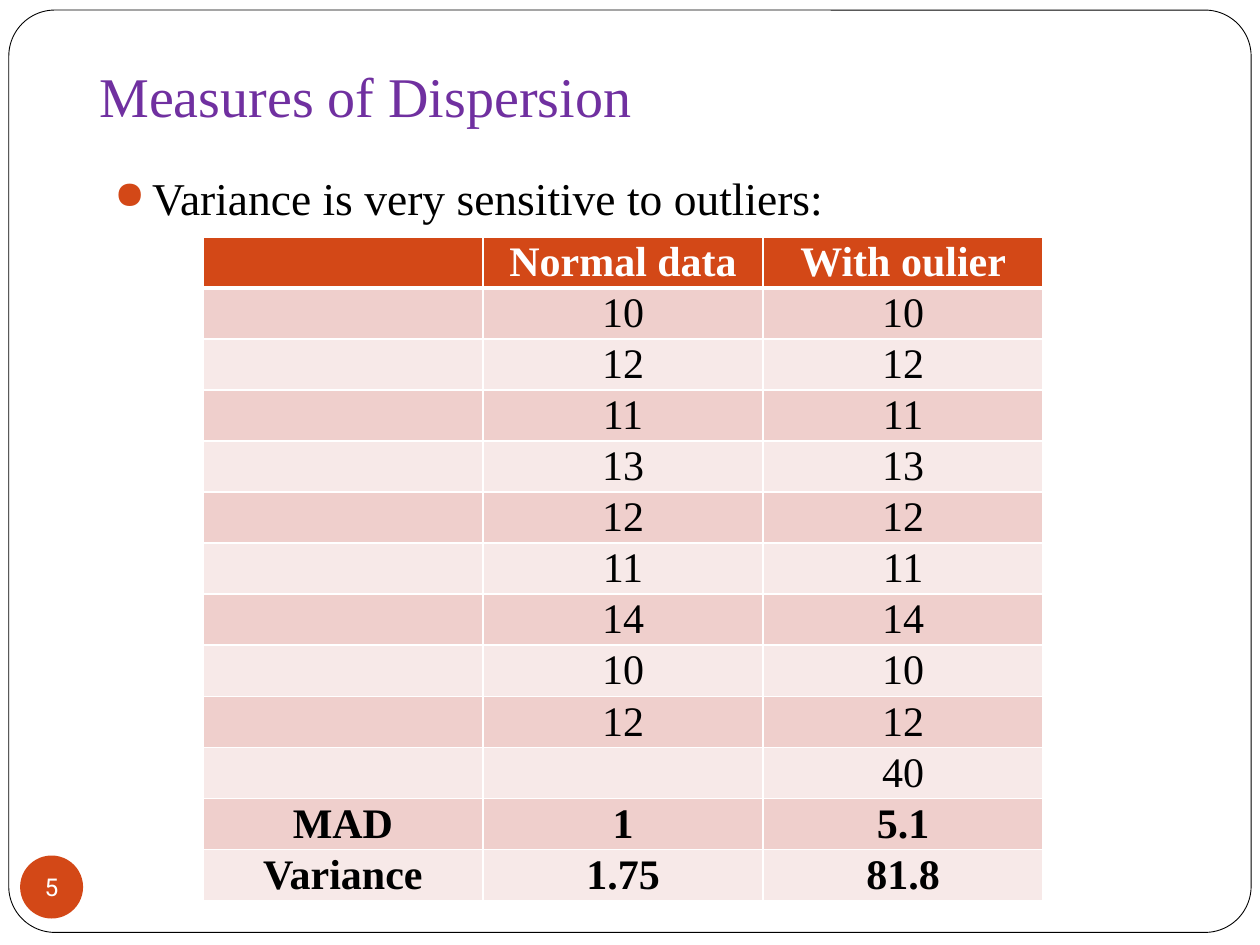
from lxml.etree import SubElement
from pptx import Presentation
from pptx.dml.color import RGBColor
from pptx.enum.shapes import MSO_SHAPE
from pptx.enum.text import MSO_ANCHOR, PP_ALIGN
from pptx.oxml.ns import qn
from pptx.util import Inches, Pt

COLORS = {
    "white": "FFFFFF",
    "black": "000000",
    "title": "7030A0",
    "accent": "D34817",
    "band_dark": "EFCFCC",
    "band_light": "F7E9E8",
}
SERIF = "Times New Roman"
HEADER = ("", "Normal data", "With oulier")
NORMAL_DATA = (10, 12, 11, 13, 12, 11, 14, 10, 12)
OUTLIER = 40
SUMMARY = (("MAD", "1", "5.1"), ("Variance", "1.75", "81.8"))


def rgb(name):
    return RGBColor.from_string(COLORS[name])


def style(p, size, color, font=SERIF, bold=False):
    p.font.size = Pt(size)
    p.font.name = font
    p.font.bold = bold
    p.font.color.rgb = rgb(color)


def set_margins(tf, left, top, right, bottom):
    tf.margin_left, tf.margin_top = Inches(left), Inches(top)
    tf.margin_right, tf.margin_bottom = Inches(right), Inches(bottom)


def add_shape(s, kind, left, top, width, height, fill):
    sp = s.shapes.add_shape(kind, Inches(left), Inches(top), Inches(width), Inches(height))
    sp.shadow.inherit = False
    sp.fill.solid()
    sp.fill.fore_color.rgb = rgb(fill)
    sp.line.fill.background()
    return sp


def add_frame(s):
    sp = add_shape(s, MSO_SHAPE.ROUNDED_RECTANGLE, 0.07, 0.08, 9.86, 7.32, "white")
    sp.adjustments[0] = 0.05
    sp.line.color.rgb = rgb("black")
    sp.line.width = Pt(0.5)


def add_text(s, text, left, top, width, height, size, color, anchor):
    sp = s.shapes.add_textbox(Inches(left), Inches(top), Inches(width), Inches(height))
    tf = sp.text_frame
    tf.word_wrap = True
    tf.vertical_anchor = anchor
    set_margins(tf, 0.1, 0.05, 0.1, 0.1)
    p = tf.paragraphs[0]
    p.text = text
    style(p, size, color)
    return p


def add_bullet(p):
    pPr = p._p.get_or_add_pPr()
    pPr.set("marL", str(Inches(0.3)))
    pPr.set("indent", str(-Inches(0.3)))
    color = pPr.makeelement(qn("a:buClr"))
    SubElement(color, qn("a:srgbClr"), val=COLORS["accent"])
    size = pPr.makeelement(qn("a:buSzPct"), val="85000")
    char = pPr.makeelement(qn("a:buChar"), char="●")
    for i, element in enumerate((color, size, char)):
        pPr.insert(i, element)


def add_slide_number(s, number):
    sp = add_shape(s, MSO_SHAPE.OVAL, 0.16, 6.79, 0.5, 0.5, "accent")
    tf = sp.text_frame
    tf.word_wrap = False
    tf.vertical_anchor = MSO_ANCHOR.MIDDLE
    set_margins(tf, 0, 0, 0, 0)
    p = tf.paragraphs[0]
    p.text = number
    p.alignment = PP_ALIGN.CENTER
    style(p, 14, "white", "Roboto")


def add_border(cell, side, width):
    ln = SubElement(cell._tc.get_or_add_tcPr(), qn(f"a:{side}"), w=str(Pt(width)))
    fill = SubElement(ln, qn("a:solidFill"))
    SubElement(fill, qn("a:srgbClr"), val=COLORS["white"])


def fill_cell(cell, text, fill, color, bold, top, bottom):
    for side, width in (("lnL", 1), ("lnR", 1), ("lnT", top), ("lnB", bottom)):
        add_border(cell, side, width)
    cell.fill.solid()
    cell.fill.fore_color.rgb = rgb(fill)
    cell.vertical_anchor = MSO_ANCHOR.MIDDLE
    set_margins(cell, 0, 0, 0, 0)
    p = cell.text_frame.paragraphs[0]
    p.text = text
    p.alignment = PP_ALIGN.CENTER
    style(p, 24, color, bold=bold)


def add_data_table(s):
    data = [("", str(n), str(n)) for n in NORMAL_DATA]
    rows = [HEADER, *data, ("", "", str(OUTLIER)), *SUMMARY]
    table = s.shapes.add_table(
        len(rows), len(HEADER), Inches(1.61), Inches(1.88), Inches(6.67), Inches(5.27)
    ).table
    for i, row in enumerate(rows):
        header = i == 0
        band = "band_dark" if i % 2 else "band_light"
        fill, color = ("accent", "white") if header else (band, "black")
        bold = header or row in SUMMARY
        top, bottom = 3 if i == 1 else 1, 3 if header else 1
        for j, text in enumerate(row):
            fill_cell(table.cell(i, j), text, fill, color, bold, top, bottom)


def main():
    prs = Presentation()
    prs.slide_width, prs.slide_height = Inches(10), Inches(7.5)
    s = prs.slides.add_slide(prs.slide_layouts[6])
    add_frame(s)
    add_text(s, "Measures of Dispersion", 0.69, -0.13, 8.5, 1.25, 32, "title", MSO_ANCHOR.BOTTOM)
    add_slide_number(s, "5")
    p = add_text(s, "Variance is very sensitive to outliers:", 0.81, 1.3, 8.5, 5, 26, "black",
                 MSO_ANCHOR.TOP)
    add_bullet(p)
    add_data_table(s)
    prs.save("out.pptx")


if __name__ == "__main__":
    main()
